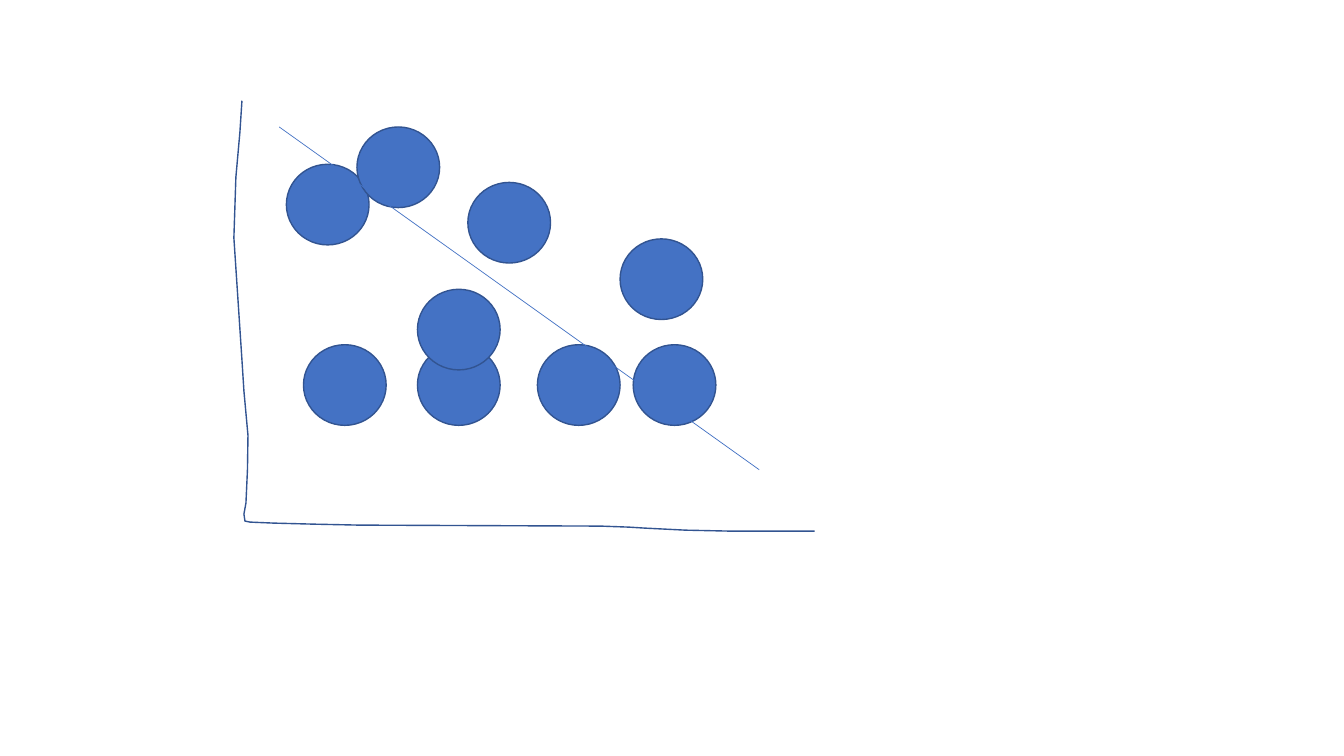
from pptx import Presentation
from pptx.dml.color import RGBColor
from pptx.enum import shapes
from pptx.oxml import ns
from pptx.util import Inches, Pt
from lxml import etree

BLUE = RGBColor(0x44, 0x72, 0xC4)
NAVY = RGBColor(0x32, 0x54, 0x91)

# Content, in inches: hand-drawn axes, points (left, top) and trend line
AXES = [(2.4, 1), (2.38, 1.31), (2.34, 1.76), (2.32, 2.36), (2.4, 3.57),
        (2.42, 3.88), (2.46, 4.32), (2.455, 4.66), (2.44, 4.99), (2.42, 5.1),
        (2.43, 5.17), (2.48, 5.18), (2.71, 5.19), (3.1, 5.2), (3.56, 5.21),
        (5.96, 5.22), (6.24, 5.23), (6.4, 5.24), (6.8, 5.26), (7.27, 5.27),
        (8.08, 5.27)]
POINT_W, POINT_H = 0.82, 0.8
POINTS = [(2.84, 1.63), (4.64, 1.81), (4.14, 3.42), (3.54, 1.26), (6.28, 3.42),
          (6.15, 2.37), (4.14, 2.87), (3.01, 3.42), (5.33, 3.42)]
TREND = (2.77, 1.26, 7.53, 4.66)


def set_line(sp, color, width):
    sp.line.color.rgb = color
    sp.line.width = Pt(width)


prs = Presentation()
prs.slide_width, prs.slide_height = Inches(13.33), Inches(7.5)
s = prs.slides.add_slide(prs.slide_layouts[6])

# Axes as one open outline
builder = s.shapes.build_freeform(*AXES[0], scale=Inches(1) / 1000 * 1000)
builder = s.shapes.build_freeform(Inches(AXES[0][0]), Inches(AXES[0][1]))
builder.add_line_segments([(Inches(x), Inches(y)) for x, y in AXES[1:]], close=False)
axes = builder.convert_to_shape()
axes.shadow.inherit = False
axes.fill.background()
set_line(axes, NAVY, 1)

# Scatter points
for left, top in POINTS:
    sp = s.shapes.add_shape(shapes.MSO_SHAPE.OVAL, Inches(left), Inches(top),
                            Inches(POINT_W), Inches(POINT_H))
    sp.shadow.inherit = False
    sp.fill.solid()
    sp.fill.fore_color.rgb = BLUE
    set_line(sp, NAVY, 1)

# Trend line
trend = s.shapes.add_connector(shapes.MSO_CONNECTOR.STRAIGHT, *map(Inches, TREND))
set_line(trend, BLUE, 0.5)
etree.SubElement(trend._element.spPr, ns.qn("a:effectLst"))

prs.save("out.pptx")
